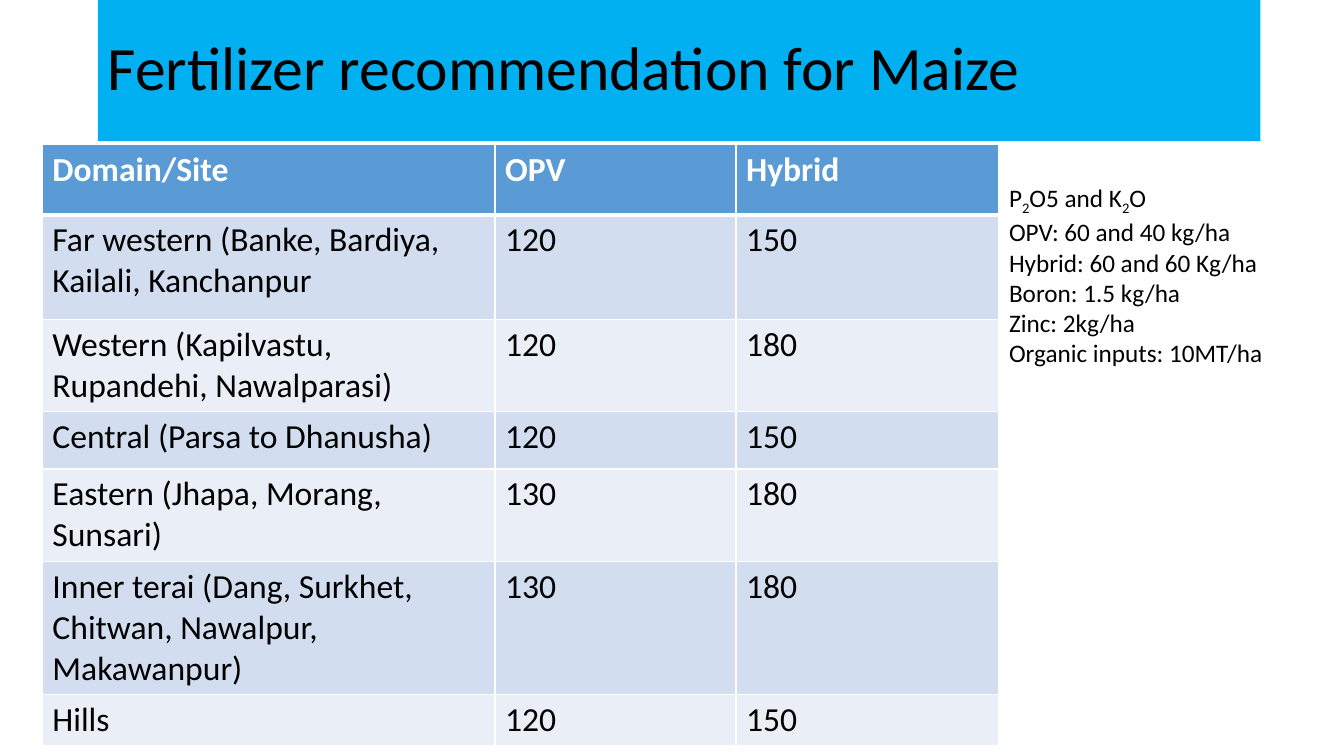
from lxml.etree import SubElement
from pptx import Presentation
from pptx.dml.color import RGBColor
from pptx.enum.text import MSO_ANCHOR, MSO_AUTO_SIZE, PP_ALIGN
from pptx.oxml.ns import qn
from pptx.util import Inches, Pt

BLACK = RGBColor(0x00, 0x00, 0x00)
WHITE = RGBColor(0xFF, 0xFF, 0xFF)
SKY = RGBColor(0x00, 0xB0, 0xF0)
BLUE = RGBColor(0x5B, 0x9B, 0xD5)
BANDS = (RGBColor(0xEA, 0xEF, 0xF7), RGBColor(0xD2, 0xDE, 0xEF))

WIDTHS = (4.49, 2.39, 2.6)
HEIGHTS = (0.7, 1.04, 0.89, 0.57, 0.89, 1.27, 0.51)
RATES = (
    ("Domain/Site", "OPV", "Hybrid"),
    ("Far western (Banke, Bardiya, Kailali, Kanchanpur", "120", "150"),
    ("Western (Kapilvastu, Rupandehi, Nawalparasi)", "120", "180"),
    ("Central (Parsa to Dhanusha)", "120", "150"),
    ("Eastern (Jhapa, Morang, Sunsari)", "130", "180"),
    ("Inner terai (Dang, Surkhet, Chitwan, Nawalpur, Makawanpur)", "130", "180"),
    ("Hills", "120", "150"),
)
# Each line is a list of runs; a run that is just "2" is a subscript.
NOTES = (
    ("P", "2", "O5 and K", "2", "O"),
    ("OPV: 60 and 40 kg/ha",),
    ("Hybrid: 60 and 60 Kg/ha",),
    ("Boron: 1.5 kg/ha",),
    ("Zinc: 2kg/ha",),
    ("Organic inputs: 10MT/ha",),
)


class Sheet:
    """Holds the text style and the current slide."""

    def __init__(self, deck, font):
        self.font = font
        self.slide = deck.slides.add_slide(deck.slide_layouts[5])

    def add_text(self, para, text, size, color=BLACK, bold=False):
        run = para.add_run()
        run.text = text
        run.font.name = self.font
        run.font.size = Pt(size)
        run.font.color.rgb = color
        run.font.bold = bold
        return run

    def title(self, text, box):
        shape = self.slide.shapes.title
        shape.left, shape.top, shape.width, shape.height = map(Inches, box)
        shape.fill.solid()
        shape.fill.fore_color.rgb = SKY
        frame = shape.text_frame
        frame.auto_size = MSO_AUTO_SIZE.NONE
        frame.vertical_anchor = MSO_ANCHOR.MIDDLE
        para = frame.paragraphs[0]
        para.alignment = PP_ALIGN.LEFT
        para.line_spacing = 0.9
        self.add_text(para, text, 44)

    def edge(self, cell, row):
        """Draw white cell borders, thick below the header row."""
        props = cell._tc.get_or_add_tcPr()
        for side in "LRTB":
            thick = (row, side) in ((0, "B"), (1, "T"))
            line = SubElement(props, qn(f"a:ln{side}"), w=str(Pt(3 if thick else 1)))
            fill = SubElement(line, qn("a:solidFill"))
            SubElement(fill, qn("a:srgbClr"), val=str(WHITE))

    def table(self, rows, left, top):
        size = map(Inches, (left, top, sum(WIDTHS), sum(HEIGHTS)))
        grid = self.slide.shapes.add_table(len(rows), len(WIDTHS), *size).table
        for col, width in zip(grid.columns, WIDTHS):
            col.width = Inches(width)
        for r, (texts, height) in enumerate(zip(rows, HEIGHTS)):
            grid.rows[r].height = Inches(height)
            head = r == 0
            for c, text in enumerate(texts):
                cell = grid.cell(r, c)
                self.edge(cell, r)
                cell.fill.solid()
                cell.fill.fore_color.rgb = BLUE if head else BANDS[r % 2]
                para = cell.text_frame.paragraphs[0]
                self.add_text(para, text, 24, WHITE if head else BLACK, head)

    def notes(self, lines, box):
        frame = self.slide.shapes.add_textbox(*map(Inches, box)).text_frame
        frame.word_wrap = True
        frame.auto_size = MSO_AUTO_SIZE.SHAPE_TO_FIT_TEXT
        for i, runs in enumerate(lines):
            para = frame.add_paragraph() if i else frame.paragraphs[0]
            for text in runs:
                run = self.add_text(para, text, 18)
                if text == "2":
                    run.font._element.set("baseline", "-25000")


def main():
    deck = Presentation()
    deck.slide_width, deck.slide_height = Inches(13.33), Inches(7.5)
    sheet = Sheet(deck, "Calibri")
    sheet.title("Fertilizer recommendation for Maize", (0.97, 0, 11.53, 1.4))
    sheet.table(RATES, 0.42, 1.43)
    sheet.notes(NOTES, (9.91, 1.76, 3.2, 1.92))
    deck.save("out.pptx")


if __name__ == "__main__":
    main()
